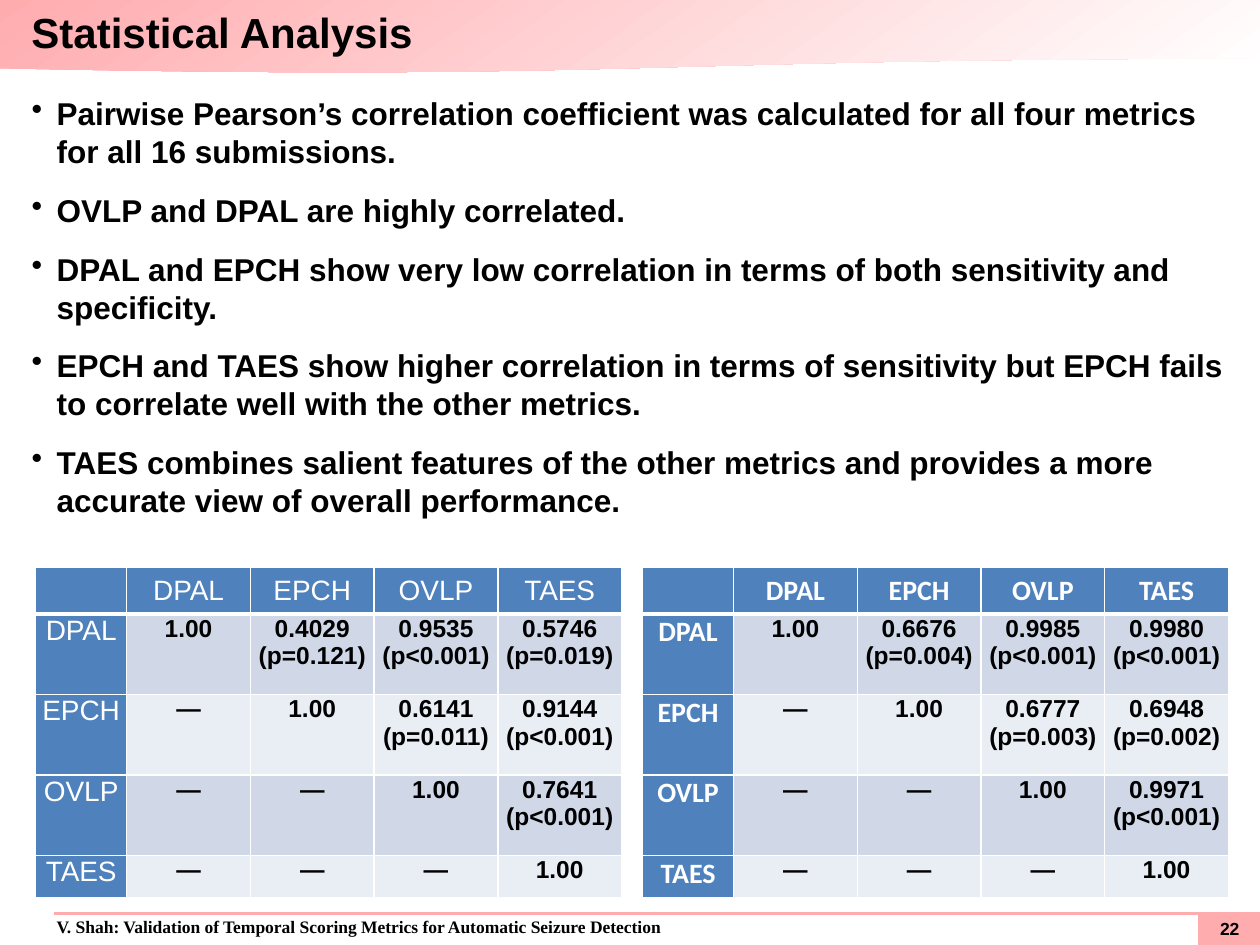
import pptx
import pptx.dml.color
import pptx.enum.dml
import pptx.enum.shapes
import pptx.enum.text
import pptx.oxml
import pptx.util
from pptx.oxml.ns import qn

Pt = pptx.util.Pt
ALIGN = pptx.enum.text.PP_ALIGN
ANCHOR = pptx.enum.text.MSO_ANCHOR
SHAPE = pptx.enum.shapes.MSO_SHAPE

PINK, WHITE, BLACK = "FFACAF", "FFFFFF", "000000"
HEADER_BLUE, BANDS = "4F81BD", ("D0D8E8", "E9EDF4")
MARGINS = ("margin_left", "margin_top", "margin_right", "margin_bottom")
FLUSH = dict.fromkeys(MARGINS, 0)
CELL_MARGINS = dict(zip(MARGINS, (Pt(1.4), Pt(0.7)) * 2))
METRICS = ["DPAL", "EPCH", "OVLP", "TAES"]
FINDINGS = [
    "Pairwise Pearson’s correlation coefficient was calculated for all four metrics for all 16 submissions.",
    "OVLP and DPAL are highly correlated.",
    "DPAL and EPCH show very low correlation in terms of both sensitivity and specificity.",
    "EPCH and TAES show higher correlation in terms of sensitivity but EPCH fails to correlate well "
    "with the other metrics.",
    "TAES combines salient features of the other metrics and provides a more accurate view of "
    "overall performance.",
]
SENSITIVITY = [
    ["1.00", "0.4029\n(p=0.121)", "0.9535\n(p<0.001)", "0.5746\n(p=0.019)"],
    ["—", "1.00", "0.6141\n(p=0.011)", "0.9144\n(p<0.001)"],
    ["—", "—", "1.00", "0.7641\n(p<0.001)"],
    ["—", "—", "—", "1.00"],
]
SPECIFICITY = [
    ["1.00", "0.6676\n(p=0.004)", "0.9985\n(p<0.001)", "0.9980\n(p<0.001)"],
    ["—", "1.00", "0.6777\n(p=0.003)", "0.6948\n(p=0.002)"],
    ["—", "—", "1.00", "0.9971\n(p<0.001)"],
    ["—", "—", "—", "1.00"],
]


def rgb(value):
    """Return the colour for a hex string."""
    return pptx.dml.color.RGBColor.from_string(value)


def apply(target, values):
    """Set each named attribute on the target."""
    for name, value in values.items():
        setattr(target, name, value)


def points(box):
    """Convert a box of numbers to point lengths."""
    return [Pt(length) for length in box]


def font_format(size, name="Arial", bold=True):
    """Return the font attributes for a text style."""
    return {"size": Pt(size), "name": name, "bold": bold}


def write(frame, text, font, color=BLACK, **paragraph_format):
    """Fill a text frame, one paragraph for each line of text."""
    frame.text = text
    for paragraph in frame.paragraphs:
        apply(paragraph, paragraph_format)
        for run in paragraph.runs:
            apply(run.font, font)
            run.font.color.rgb = rgb(color)


def add_text(slide, box, text, font, frame_format, **paragraph_format):
    """Add a text box and return its frame."""
    frame = slide.shapes.add_textbox(*points(box)).text_frame
    apply(frame, {"word_wrap": True, **frame_format})
    write(frame, text, font, **paragraph_format)
    return frame


def add_panel(slide, kind, box):
    """Add a borderless pink shape and return it."""
    panel = slide.shapes.add_shape(kind, *points(box))
    panel.shadow.inherit = False
    panel.fill.solid()
    panel.fill.fore_color.rgb = rgb(PINK)
    panel.line.fill.background()
    return panel


def add_banner(slide, left, top, width, height):
    """Add the fading banner with the slide title."""
    banner = add_panel(slide, SHAPE.FLOWCHART_DOCUMENT, (left, top, width, height))
    banner.fill.gradient()
    banner.fill.gradient_angle = 305
    for stop, position, color in zip(banner.fill.gradient_stops, (0, 1), (PINK, WHITE)):
        stop.position = position
        stop.color.rgb = rgb(color)
    add_text(slide, (left + 18, top, 684, 36), "Statistical Analysis", font_format(24),
             {**FLUSH, "word_wrap": False, "vertical_anchor": ANCHOR.MIDDLE})


def add_footer(slide, left, top, width, height):
    """Add the rule, the running text and the page number."""
    add_panel(slide, SHAPE.RECTANGLE, (left + 684.7, top, 36, height))
    frame = add_text(slide, (left + 3, top - 0.7, width - 3, height),
                     "V. Shah: Validation of Temporal Scoring Metrics for Automatic Seizure Detection",
                     font_format(10, "Times New Roman"), {}, line_spacing=0.95)
    frame.paragraphs[0]._p.get_or_add_pPr().set("marL", str(Pt(22.3)))
    rule = slide.shapes.add_connector(pptx.enum.shapes.MSO_CONNECTOR.STRAIGHT,
                                      *points((left + 31, top + 0.7, left + width, top + 0.7)))
    rule.line.color.rgb = rgb(PINK)
    rule.line.width = Pt(1.5)
    rule._element.spPr.append(pptx.oxml.parse_xml(
        '<a:effectLst xmlns:a="http://schemas.openxmlformats.org/drawingml/2006/main"/>'))
    add_text(slide, (left + 688.3, top + 3, 28.8, 12.2), "22", font_format(10),
             {**FLUSH, "vertical_anchor": ANCHOR.MIDDLE}, alignment=ALIGN.CENTER)


def add_findings(slide, *box):
    """Add the bulleted findings."""
    frame = add_text(slide, box, "\n".join(FINDINGS), font_format(18), FLUSH, space_after=Pt(12))
    for paragraph in frame.paragraphs:
        properties = paragraph._p.get_or_add_pPr()
        properties.set("marL", str(Pt(14.4)))
        properties.set("indent", str(-Pt(14.4)))
        bullet = properties.makeelement(qn("a:buChar"), {"char": "•"})
        properties.append(bullet)


def add_borders(cell, bottom_width):
    """Draw white borders around a cell."""
    properties = cell._tc.get_or_add_tcPr()
    for index, (side, width) in enumerate(zip("LRTB", (1, 1, 1, bottom_width))):
        border = properties.makeelement(qn(f"a:ln{side}"), {"w": str(Pt(width))})
        fill = border.makeelement(qn("a:solidFill"), {})
        fill.append(border.makeelement(qn("a:srgbClr"), {"val": WHITE}))
        border.append(fill)
        properties.insert(index, border)


def add_correlations(slide, left, top, values, label_font):
    """Add a correlation table with metric labels on both axes."""
    widths, heights = [52] + [70.7] * 4, [26.5, 46, 46, 46, 24.5]
    box = points((left, top, sum(widths), sum(heights)))
    table = slide.shapes.add_table(len(heights), len(widths), *box).table
    for column, width in zip(table.columns, widths):
        column.width = Pt(width)
    rows = [["", *METRICS]] + [[metric, *line] for metric, line in zip(METRICS, values)]
    for i, texts in enumerate(rows):
        table.rows[i].height = Pt(heights[i])
        for j, text in enumerate(texts):
            cell = table.cell(i, j)
            is_label = i == 0 or j == 0
            apply(cell, {**CELL_MARGINS, "vertical_anchor": ANCHOR.TOP if i else ANCHOR.MIDDLE})
            cell.fill.solid()
            cell.fill.fore_color.rgb = rgb(HEADER_BLUE if is_label else BANDS[(i - 1) % 2])
            add_borders(cell, 1 if i else 3)
            write(cell.text_frame, text, label_font if is_label else font_format(14),
                  WHITE if is_label else BLACK, alignment=ALIGN.CENTER)


def main():
    """Build and save the slide."""
    deck = pptx.Presentation()
    apply(deck, {"slide_width": Pt(720), "slide_height": Pt(540)})
    slide = deck.slides.add_slide(deck.slide_layouts[6])
    add_banner(slide, 0, 0, 720.7, 41.8)
    add_footer(slide, 0, 521.3, 720, 18.7)
    add_correlations(slide, 20.4, 324.3, SENSITIVITY, font_format(16, bold=False))
    add_correlations(slide, 367.2, 324.3, SPECIFICITY, font_format(16, "Calibri"))
    add_findings(slide, 18, 54, 683.3, 252)
    deck.save("out.pptx")


if __name__ == "__main__":
    main()
